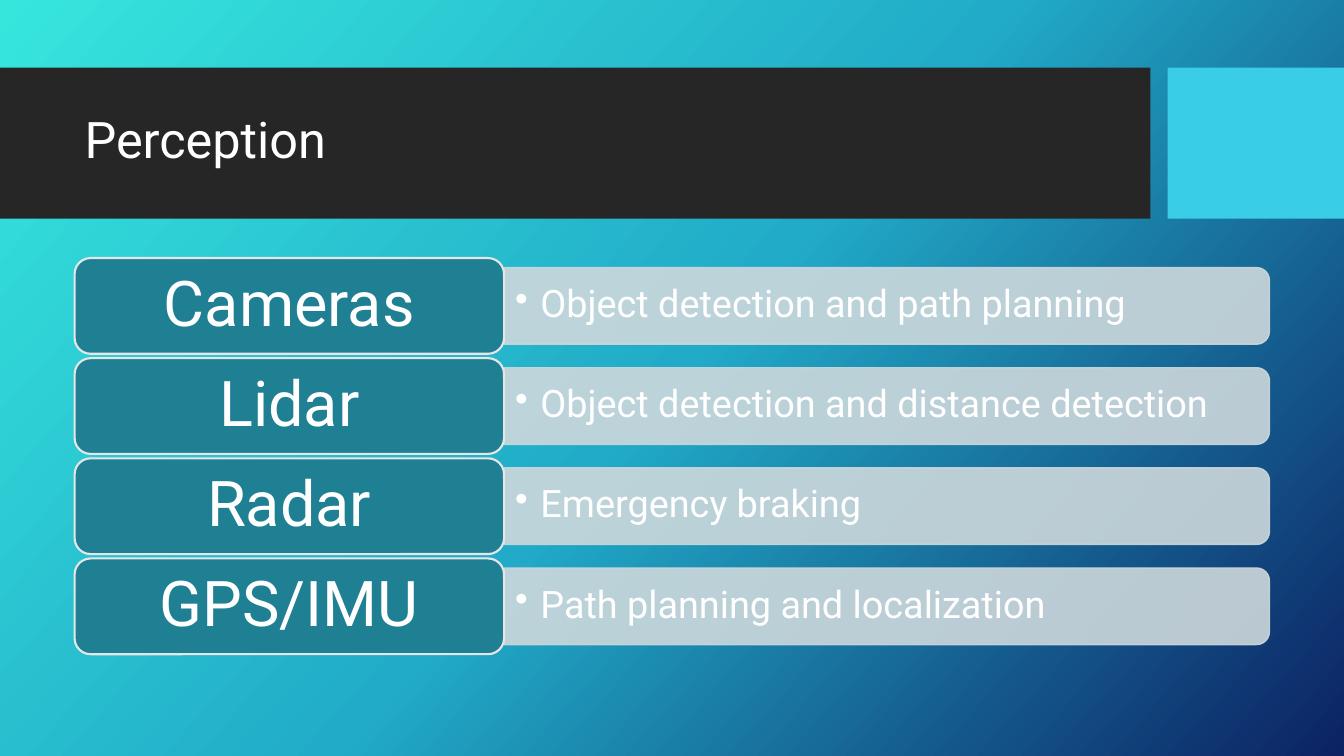
from copy import deepcopy

from lxml import etree
from pptx import Presentation
from pptx.dml.color import RGBColor
from pptx.enum.shapes import MSO_SHAPE
from pptx.enum.text import MSO_ANCHOR, PP_ALIGN
from pptx.oxml.ns import qn
from pptx.util import Inches, Pt

RECT, CARD, BAR = (MSO_SHAPE.RECTANGLE, MSO_SHAPE.ROUNDED_RECTANGLE,
                   MSO_SHAPE.ROUND_2_SAME_RECTANGLE)
MIDDLE = MSO_ANCHOR.MIDDLE
LEFT, CENTER = PP_ALIGN.LEFT, PP_ALIGN.CENTER

FONT = "Roboto"
WHITE = RGBColor(0xFF, 0xFF, 0xFF)
DARK = RGBColor(0x26, 0x26, 0x26)
CYAN = RGBColor(0x39, 0xCD, 0xE7)
TEAL = RGBColor(0x1F, 0x80, 0x94)
PALE = RGBColor(0xCD, 0xD8, 0xDC)
CARD_EDGE = RGBColor(0xE7, 0xE6, 0xE6)
BACKDROP = [RGBColor(0x36, 0xE6, 0xDD), RGBColor(0x21, 0xAB, 0xC8),
            RGBColor(0x0C, 0x22, 0x63)]

SENSORS = [
    ("Cameras", "Object detection and path planning"),
    ("Lidar", "Object detection and distance detection"),
    ("Radar", "Emergency braking"),
    ("GPS/IMU", "Path planning and localization"),
]


def write(sp, text, size, align=LEFT, inset=(0.1, 0.05), bullet=False):
    tf = sp.text_frame
    tf.word_wrap = True
    tf.vertical_anchor = MIDDLE
    tf.margin_left = tf.margin_right = Inches(inset[0])
    tf.margin_top = tf.margin_bottom = Inches(inset[1])
    p = tf.paragraphs[0]
    p.alignment = align
    p.line_spacing = 0.9
    if bullet:
        pPr = p._p.get_or_add_pPr()
        pPr.set("marL", str(Inches(0.25)))
        pPr.set("indent", str(-Inches(0.25)))
        etree.SubElement(pPr, qn("a:buChar")).set("char", "•")
    r = p.add_run()
    r.text = text
    r.font.name = FONT
    r.font.size = Pt(size)
    r.font.color.rgb = WHITE


def add_box(s, kind, x, y, w, h, fill, line=None, line_width=1):
    sp = s.shapes.add_shape(kind, Inches(x), Inches(y), Inches(w), Inches(h))
    sp.shadow.inherit = False
    sp.fill.solid()
    sp.fill.fore_color.rgb = fill
    if line is None:
        sp.line.fill.background()
    else:
        sp.line.color.rgb = line
        sp.line.width = Pt(line_width)
    return sp


def add_text(s, x, y, w, h, text, size, **fmt):
    sp = s.shapes.add_textbox(Inches(x), Inches(y), Inches(w), Inches(h))
    write(sp, text, size, **fmt)


def set_backdrop(s):
    fill = s.background.fill
    fill.gradient()
    fill.gradient_angle = 360 - 42  # counted anticlockwise
    first = fill.gradient_stops[0]._gs
    first.addnext(deepcopy(first))
    for i, (stop, color) in enumerate(zip(fill.gradient_stops, BACKDROP)):
        stop.position = i / 2
        stop.color.rgb = color


def add_title_band(s, y, h, title):
    add_box(s, RECT, 0, y, 11.41, h, DARK)
    add_box(s, RECT, 11.58, y, 1.75, h, CYAN)
    add_text(s, 0.74, y + 0.15, 10.51, 1.18, title, 36)


def add_sensor_row(s, x, y, w, h, name, use):
    card_w = 4.26
    bar_x, bar_w, bar_h = x + card_w, w - card_w, 0.8 * h

    # Pale bar, an upright shape turned so its round corners face right
    bar = add_box(s, BAR, bar_x + (bar_w - bar_h) / 2, y + (h - bar_w) / 2,
                  bar_h, bar_w, PALE, PALE)
    bar.rotation = 90
    for clr in bar._element.spPr.iter(qn("a:srgbClr")):
        etree.SubElement(clr, qn("a:alpha")).set("val", "90000")
    add_text(s, bar_x, y + 0.13, bar_w - 0.04, h - 0.27, use, 27,
             inset=(0.11, 0.06), bullet=True)

    # Sensor name card
    card = add_box(s, CARD, x, y, card_w, h, TEAL, CARD_EDGE, 1.5)
    write(card, name, 45, align=CENTER, inset=(0.19, 0.09))


def add_sensor_list(s, x, y, w, h):
    row_h = 0.95
    pitch = (h - row_h) / (len(SENSORS) - 1)
    for i, (name, use) in enumerate(SENSORS):
        add_sensor_row(s, x, y + i * pitch, w, row_h, name, use)


def main():
    prs = Presentation()
    prs.slide_width, prs.slide_height = Inches(13.33), Inches(7.5)
    s = prs.slides.add_slide(prs.slide_layouts[6])
    set_backdrop(s)
    add_title_band(s, 0.67, 1.5, "Perception")
    add_sensor_list(s, 0.74, 2.56, 11.85, 3.93)
    prs.save("out.pptx")


if __name__ == "__main__":
    main()
